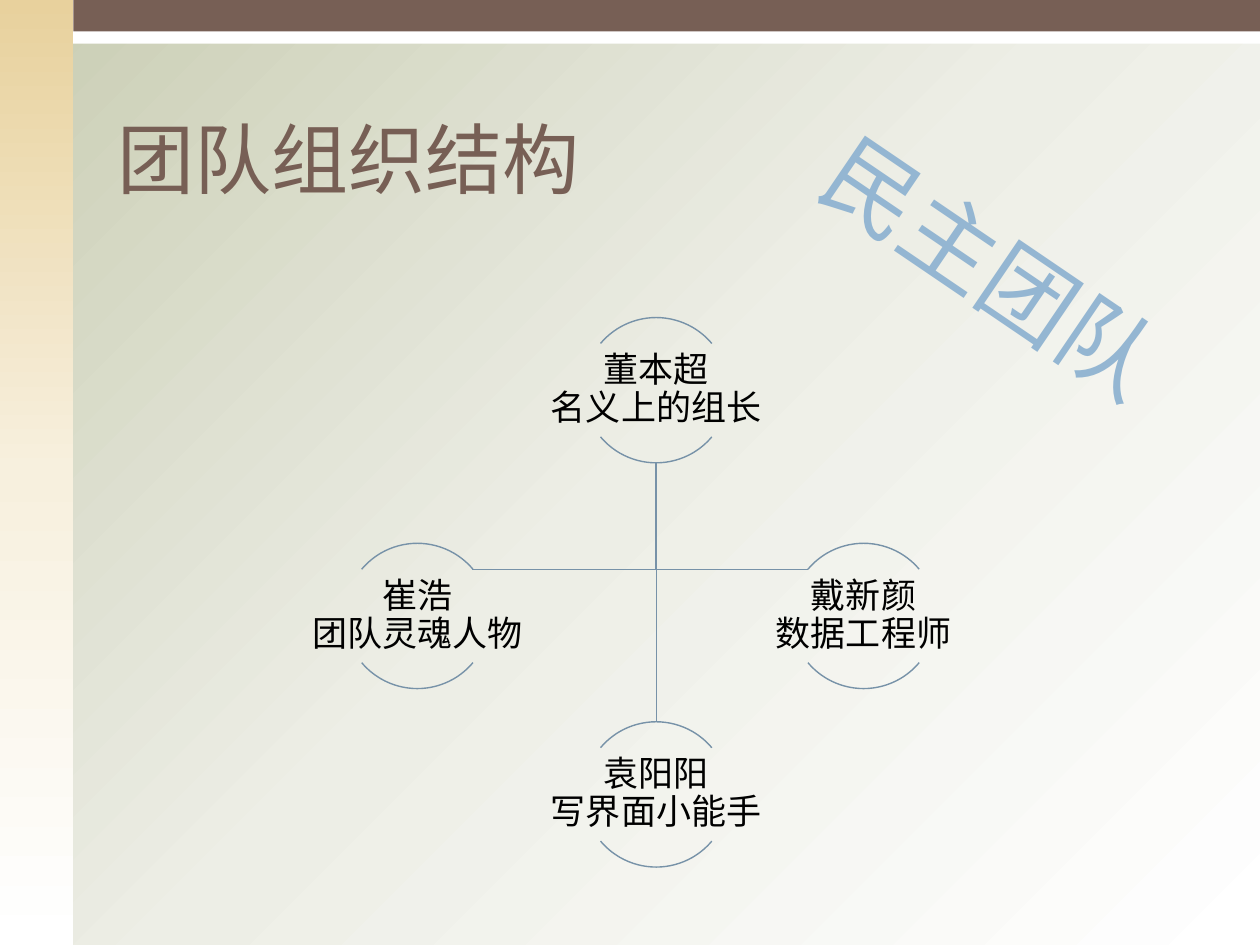
"""Build the team organisation slide."""
from copy import deepcopy

from lxml import etree
from pptx import Presentation
from pptx.dml.color import RGBColor
from pptx.enum.shapes import MSO_CONNECTOR, MSO_SHAPE
from pptx.enum.text import MSO_ANCHOR, PP_ALIGN
from pptx.oxml.ns import qn
from pptx.util import Pt

RECT, ARC = MSO_SHAPE.RECTANGLE, MSO_SHAPE.ARC
STRAIGHT = MSO_CONNECTOR.STRAIGHT
CENTER, LEFT = PP_ALIGN.CENTER, PP_ALIGN.LEFT
TOP, MIDDLE, BOTTOM = MSO_ANCHOR.TOP, MSO_ANCHOR.MIDDLE, MSO_ANCHOR.BOTTOM

BROWN, LINK_BLUE, BANNER_BLUE = "775F55", "7792A8", "94B6D2"
SERIF, CJK = "TeX Gyre Schola", "Noto Sans CJK SC"
CIRCLE = 83
CAPTION_WIDTH, CAPTION_HEIGHT = 165.5, 53
CAPTION_DROP = 15
ELBOW_REACH = 31.5
CENTER_X = 375
LEADER_TOP, SIDE_TOP, LOWER_TOP = 181.5, 310.5, 412.5
LEFT_X, RIGHT_X = 238.5, 493.5
ARC_ANGLES = [(132, 192), (24, 84)]


def rgb(value):
    return RGBColor.from_string(value)


def paint_gradient(fill, owner, colors, angle):
    fill.gradient()
    stop_list = next(owner.iter(qn("a:gsLst")))
    stop_list.append(deepcopy(stop_list[-1]))
    for index, (stop, color) in enumerate(zip(fill.gradient_stops, colors)):
        stop.color.rgb = rgb(color)
        stop.position = index / 2
    fill.gradient_angle = angle


def add_band(slide, left, width, height, color=None):
    band = slide.shapes.add_shape(RECT, Pt(left), 0, Pt(width), Pt(height))
    band.shadow.inherit = False
    band.line.fill.background()
    if color:
        band.fill.solid()
        band.fill.fore_color.rgb = rgb(color)
    return band


def style_line(line):
    line.color.rgb = rgb(LINK_BLUE)
    line.width = Pt(0.79)


def style_run(run, font_name, size, color):
    run.font.name = font_name
    run.font.size = Pt(size)
    run.font.color.rgb = rgb(color)
    east_asian = etree.SubElement(run.font._element, qn("a:ea"))
    east_asian.set("typeface", CJK)


def add_text(slide, box, text, font_name, size, color, align=CENTER, anchor=TOP):
    holder = slide.shapes.add_textbox(*map(Pt, box))
    frame = holder.text_frame
    frame.word_wrap = True
    frame.vertical_anchor = anchor
    paragraph = frame.paragraphs[0]
    paragraph.text = text
    paragraph.alignment = align
    for run in paragraph.runs:
        style_run(run, font_name, size, color)
    return holder


def add_elbow(slide, start, corner, end):
    points = [(Pt(x), Pt(y)) for x, y in (start, corner, end)]
    builder = slide.shapes.build_freeform(*points[0], scale=1.0)
    builder.add_line_segments(points[1:], close=False)
    elbow = builder.convert_to_shape()
    elbow.shadow.inherit = False
    elbow.fill.background()
    style_line(elbow.line)


def add_stem(slide, x, top, bottom):
    stem = slide.shapes.add_connector(STRAIGHT, Pt(x), Pt(top), Pt(x), Pt(bottom))
    style_line(stem.line)
    etree.SubElement(stem._element.spPr, qn("a:effectLst"))


def add_member(slide, center_x, top, text, font_name, tail="", tail_font=None):
    for angles in ARC_ANGLES:
        arc = slide.shapes.add_shape(
            ARC, Pt(center_x - CIRCLE / 2), Pt(top), Pt(CIRCLE), Pt(CIRCLE))
        arc.adjustments[0], arc.adjustments[1] = angles
        arc.shadow.inherit = False
        arc.fill.background()
        style_line(arc.line)
    box = (center_x - CAPTION_WIDTH / 2, top + CAPTION_DROP,
           CAPTION_WIDTH, CAPTION_HEIGHT)
    caption = add_text(slide, box, text, font_name, 20, "000000", anchor=MIDDLE)
    frame = caption.text_frame
    frame.margin_left = frame.margin_right = Pt(1)
    frame.margin_top = frame.margin_bottom = Pt(1)
    paragraph = frame.paragraphs[0]
    paragraph.line_spacing = 0.9
    if tail:
        run = paragraph.add_run()
        run.text = tail
        style_run(run, tail_font, 20, "000000")


def main():
    deck = Presentation()
    deck.slide_width, deck.slide_height = Pt(720), Pt(540)
    slide = deck.slides.add_slide(deck.slide_layouts[6])
    paint_gradient(slide.background.fill, slide.element,
                   ["C9CDB3", "EDEEE6", "FFFFFF"], 315)

    add_band(slide, 0, 720, 25, "FFFFFF")
    sidebar = add_band(slide, 0, 42, 540)
    paint_gradient(sidebar.fill, sidebar.element,
                   ["E8D19D", "F7F0DE", "FFFFFF"], 270)
    add_band(slide, 42, 678, 18, BROWN)

    hub = (CENTER_X, LEADER_TOP + CIRCLE)
    elbow_y = SIDE_TOP + CAPTION_DROP
    for end_x in (RIGHT_X - ELBOW_REACH, LEFT_X + ELBOW_REACH):
        add_elbow(slide, hub, (CENTER_X, elbow_y), (end_x, elbow_y))
    add_stem(slide, *hub, LOWER_TOP)

    add_member(slide, CENTER_X, LEADER_TOP, "董本超\v名义上的", "Montserrat",
               "组长", "Roboto")
    for center_x, top, text in [
        (CENTER_X, LOWER_TOP, "袁阳阳\v写界面小能手"),
        (LEFT_X, SIDE_TOP, "崔浩\v团队灵魂人物"),
        (RIGHT_X, SIDE_TOP, "戴新颜\v数据工程师"),
    ]:
        add_member(slide, center_x, top, text, SERIF)

    add_text(slide, (60, 30, 630, 90), "团队组织结构", CJK, 44, BROWN, LEFT, BOTTOM)
    banner = add_text(slide, (450.5, 116.5, 232.5, 72.5), "民主团队",
                      SERIF, 54, BANNER_BLUE)
    banner.text_frame.word_wrap = False
    banner.rotation = 34.3
    deck.save("out.pptx")


main()
